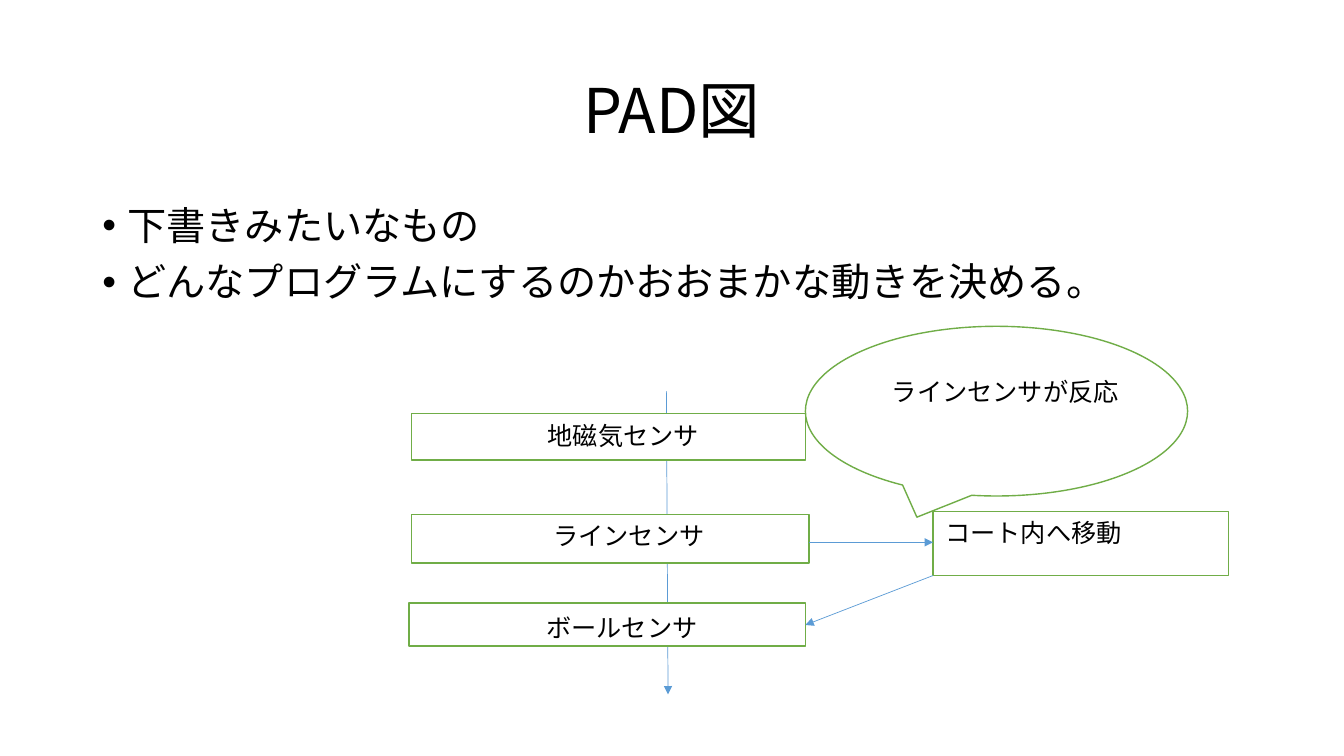
from dataclasses import dataclass

from lxml import etree
from pptx import Presentation
from pptx.dml.color import RGBColor
from pptx.enum.shapes import MSO_CONNECTOR, MSO_SHAPE
from pptx.enum.text import MSO_ANCHOR, PP_ALIGN
from pptx.oxml.ns import qn
from pptx.util import Pt

RECTANGLE = MSO_SHAPE.RECTANGLE
CALLOUT = MSO_SHAPE.OVAL_CALLOUT
STRAIGHT = MSO_CONNECTOR.STRAIGHT
LEFT, CENTER = PP_ALIGN.LEFT, PP_ALIGN.CENTER
MIDDLE = MSO_ANCHOR.MIDDLE
FONT = "Noto Sans CJK JP"
COLORS = {"text": "000000", "fill": "FFFFFF", "outline": "70AD47", "arrow": "5B9BD5"}
LABEL_HEIGHT = 29
BULLET_INDENT = 18


@dataclass(frozen=True)
class Frame:
    left: float
    top: float
    width: float
    height: float

    def lengths(self) -> tuple:
        return Pt(self.left), Pt(self.top), Pt(self.width), Pt(self.height)


@dataclass(frozen=True)
class Step:
    text: str
    frame: Frame
    label_left: float
    label_top: float
    label_width: float
    align: int = CENTER
    shape: int = RECTANGLE


@dataclass(frozen=True)
class Arrow:
    start: tuple[float, float]
    end: tuple[float, float]


TITLE_FRAME = Frame(66, 28.8, 828, 104.4)
BODY_FRAME = Frame(66, 144, 828, 342.7)
BULLETS = ["下書きみたいなもの", "どんなプログラムにするのかおおまかな動きを決める。"]

FLOW = Arrow((476, 279.4), (477.2, 496))
STEPS = [
    Step("地磁気センサ", Frame(293.8, 295.2, 281.5, 33.4), 303.8, 296.6, 283),
    Step("ラインセンサ", Frame(293.8, 367.6, 284.2, 34.6), 307.4, 368, 283.7),
    Step("ボールセンサ", Frame(292.3, 430.6, 283, 31), 302.4, 433.5, 283.7),
    Step("コート内へ移動", Frame(666.5, 365.4, 211.2, 45.7), 668.2, 365.8, 208.8, LEFT),
    Step("ラインセンサが反応", Frame(575.3, 233.1, 273, 121.2), 630, 265, 225.4, LEFT, CALLOUT),
]
BRANCHES = [
    Arrow((578.2, 387.4), (666.5, 387.4)),
    Arrow((666.5, 411.1), (575.3, 446.4)),
]


def color(name: str) -> RGBColor:
    return RGBColor.from_string(COLORS[name])


def write(para, text: str, size: float, align: int) -> None:
    para.text = text
    para.alignment = align
    para.font.name = FONT
    para.font.size = Pt(size)
    para.font.color.rgb = color("text")
    default = para._p.pPr.find(qn("a:defRPr"))
    latin = default.find(qn("a:latin"))
    east_asian = etree.Element(qn("a:ea"), typeface=FONT)
    latin.addnext(east_asian)


def add_title(page, text: str) -> None:
    title = page.shapes.title
    title.left, title.top, title.width, title.height = TITLE_FRAME.lengths()
    title.text_frame.vertical_anchor = MIDDLE
    para = title.text_frame.paragraphs[0]
    write(para, text, 44, CENTER)
    para.line_spacing = 0.9


def add_bullets(page, texts: list[str]) -> None:
    box = page.shapes.add_textbox(*BODY_FRAME.lengths())
    frame = box.text_frame
    frame.word_wrap = True
    for index, text in enumerate(texts):
        para = frame.add_paragraph() if index else frame.paragraphs[0]
        write(para, text, 28, LEFT)
        para.line_spacing = 0.9
        para.space_before = Pt(10)
        properties = para._p.pPr
        properties.set("marL", str(Pt(BULLET_INDENT)))
        properties.set("indent", str(-Pt(BULLET_INDENT)))
        default = properties.find(qn("a:defRPr"))
        default.addprevious(etree.Element(qn("a:buFont"), typeface="Arial"))
        default.addprevious(etree.Element(qn("a:buChar"), char="•"))


def add_step(page, step: Step) -> None:
    shape = page.shapes.add_shape(step.shape, *step.frame.lengths())
    shape.shadow.inherit = False
    shape.fill.solid()
    shape.fill.fore_color.rgb = color("fill")
    shape.line.color.rgb = color("outline")
    shape.line.width = Pt(1)
    label = Frame(step.label_left, step.label_top, step.label_width, LABEL_HEIGHT)
    box = page.shapes.add_textbox(*label.lengths())
    box.text_frame.word_wrap = True
    write(box.text_frame.paragraphs[0], step.text, 18, step.align)


def add_arrow(page, arrow: Arrow) -> None:
    points = [Pt(value) for value in arrow.start + arrow.end]
    connector = page.shapes.add_connector(STRAIGHT, *points)
    connector.line.color.rgb = color("arrow")
    connector.line.width = Pt(0.5)
    line = connector.line._get_or_add_ln()
    etree.SubElement(line, qn("a:tailEnd"), type="triangle")
    etree.SubElement(connector._element.spPr, qn("a:effectLst"))


def main() -> None:
    deck = Presentation()
    deck.slide_width, deck.slide_height = Pt(960), Pt(540)
    page = deck.slides.add_slide(deck.slide_layouts[5])
    add_title(page, "PAD図")
    add_bullets(page, BULLETS)
    add_arrow(page, FLOW)
    for step in STEPS:
        add_step(page, step)
    for branch in BRANCHES:
        add_arrow(page, branch)
    deck.save("out.pptx")


main()
